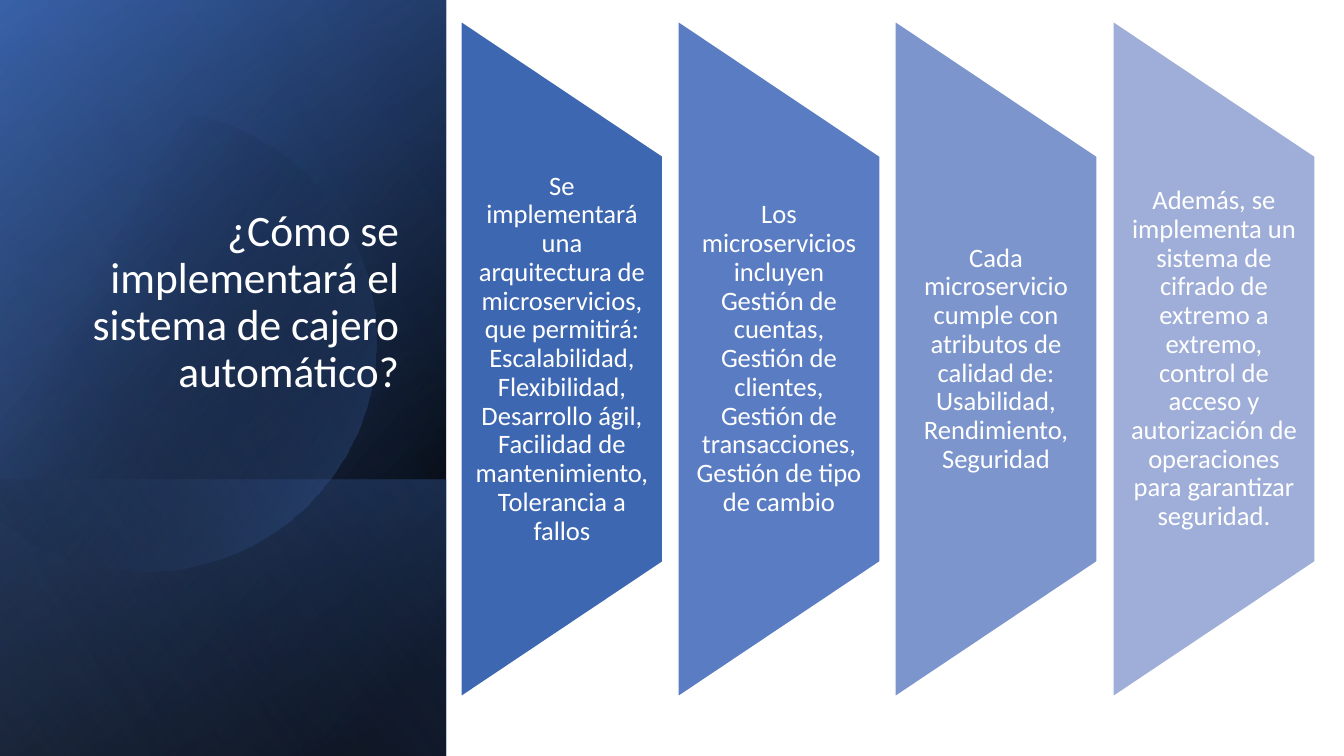
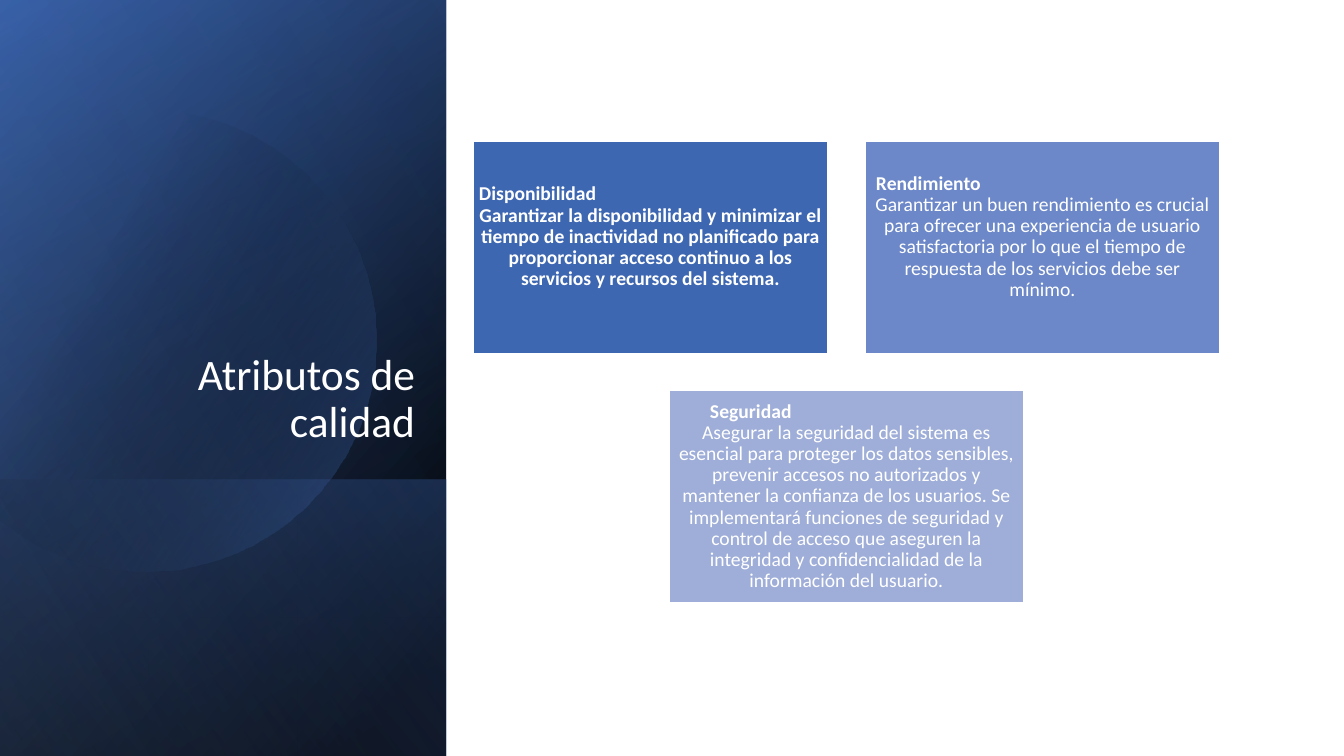
import math

from lxml import etree
from pptx import Presentation
from pptx.dml import color
from pptx.enum import shapes, text
from pptx.oxml import ns
from pptx.util import Pt

PX = 914400 / 100.8
FONT = "Calibri"
WHITE = "FFFFFF"
BLUE = "4472C4"
BLACK = "000000"
RECT = shapes.MSO_SHAPE.RECTANGLE
TRAP = shapes.MSO_SHAPE.FLOWCHART_MANUAL_OPERATION
LEFT, MID, RIGHT = text.PP_ALIGN.LEFT, text.PP_ALIGN.CENTER, text.PP_ALIGN.RIGHT

SIDE_W, HIGH, WIDE = 446, 756, 1344
BAND_Y = 480
DISC = 145, 341, 231  # centre x, centre y, radius

STEPS = [
    ("3E67B2", "Se implementará una arquitectura de microservicios, que permitirá: "
               "Escalabilidad, Flexibilidad, Desarrollo ágil, Facilidad de "
               "mantenimiento, Tolerancia a fallos"),
    ("5A7CC3", "Los microservicios incluyen Gestión de cuentas, Gestión de clientes, "
               "Gestión de transacciones, Gestión de tipo de cambio"),
    ("7D95CD", "Cada microservicio cumple con atributos de calidad de: Usabilidad, "
               "Rendimiento, Seguridad"),
    ("9FAED8", "Además, se implementa un sistema de cifrado de extremo a extremo, "
               "control de acceso y autorización de operaciones para garantizar "
               "seguridad."),
]

# x, y, fill, heading indent, bottom inset, heading, body, bold body
CARDS = [
    (473, 141, "3E67B2", 0, 27, "Disponibilidad",
     "Garantizar la disponibilidad y minimizar el tiempo de inactividad no "
     "planificado para proporcionar acceso continuo a los servicios y recursos "
     "del sistema.", True),
    (865, 141, "6C88C8", 5, 27, "Rendimiento",
     "Garantizar un buen rendimiento es crucial para ofrecer una experiencia de "
     "usuario satisfactoria por lo que el tiempo de respuesta de los servicios "
     "debe ser mínimo.", False),
    (669, 390, "9FAED8", 35, 6, "Seguridad",
     "Asegurar la seguridad del sistema es esencial para proteger los datos "
     "sensibles, prevenir accesos no autorizados y mantener la confianza de los "
     "usuarios. Se implementará funciones de seguridad y control de acceso que "
     "aseguren la integridad y confidencialidad de la información del usuario.",
     False),
]


def px(n):
    return round(n * PX)


def rgb(code):
    return color.RGBColor.from_string(code)


def shade(shape, ang, *stops):
    """Gradient along a clockwise angle; each stop is position, colour, opacity in %."""
    shape.shadow.inherit = False
    shape.line.fill.background()
    shape.fill.gradient()
    shape.fill.gradient_angle = 360 - ang
    for stop, (pos, code, _) in zip(shape.fill.gradient_stops, stops):
        stop.position = pos / 100
        stop.color.rgb = rgb(code)
    grad = shape.element.spPr.find(ns.qn("a:gradFill"))
    for node, (_, _, alpha) in zip(grad.iter(ns.qn("a:srgbClr")), stops):
        if alpha < 100:
            etree.SubElement(node, ns.qn("a:alpha")).set("val", str(alpha * 1000))


class Deck:
    def __init__(self):
        self.prs = Presentation()
        self.prs.slide_width, self.prs.slide_height = px(WIDE), px(HIGH)
        self.slide = None

    def page(self, title, x, y):
        self.slide = self.prs.slides.add_slide(self.prs.slide_layouts[5])
        self.panel()
        self.title(title, x, y)

    def title(self, words, x, y):
        head = self.slide.shapes.title
        head.left, head.top, head.width, head.height = map(px, (x, y, 344, 264))
        tree = self.slide.shapes.element
        tree.remove(head.element)
        tree.append(head.element)
        frame = head.text_frame
        frame.text = words
        frame.auto_size = text.MSO_AUTO_SIZE.NONE
        frame.vertical_anchor = text.MSO_ANCHOR.BOTTOM
        self.style(frame.paragraphs[0], 31, RIGHT)

    def style(self, para, size, align, bold=False):
        para.alignment = align
        para.line_spacing = 0.9
        para.space_before = para.space_after = Pt(0)
        for run in para.runs:
            run.font.name, run.font.size, run.font.bold = FONT, Pt(size), bold
            run.font.color.rgb = rgb(WHITE)

    def turned(self, kind, x, y, w, h, turn):
        """Shape that fills the given box after a quarter turn."""
        box = x + (w - h) / 2, y + (h - w) / 2, h, w
        shape = self.slide.shapes.add_shape(kind, *map(px, box))
        shape.rotation = turn
        return shape

    def layer(self, y, ang, *stops):
        shape = self.turned(RECT, 0, y, SIDE_W, HIGH - y, 90)
        shape.element.spPr.find(ns.qn("a:xfrm")).set("flipH", "1")
        shade(shape, ang, *stops)

    def disc(self):
        """Circle cut straight along the left edge of the slide."""
        cx, cy, r = DISC
        cut = math.acos(-cx / r)
        arc = [(cx + r * math.cos(cut * i / 60), cy + r * math.sin(cut * i / 60))
               for i in range(-60, 61)]
        path = self.slide.shapes.build_freeform(*arc[0], scale=PX)
        path.add_line_segments(arc[1:], close=True)
        shade(path.convert_to_shape(), 30, (29, BLACK, 0), (100, BLUE, 43))

    def panel(self):
        self.layer(0, 50, (8, BLACK, 100), (100, "2F5597", 100))
        self.layer(0, 30, (0, BLACK, 0), (99, BLUE, 46))
        self.layer(BAND_Y, 130, (2, BLUE, 29), (100, BLACK, 30))
        self.disc()
        self.layer(0, 120, (0, BLACK, 0), (99, "8FAADC", 11))

    def paint(self, shape, code):
        shape.shadow.inherit = False
        shape.fill.solid()
        shape.fill.fore_color.rgb = rgb(code)
        shape.line.color.rgb = rgb(WHITE)
        shape.line.width = Pt(1)

    def inset(self, frame, side, top, bottom):
        frame.word_wrap = True
        frame.vertical_anchor = text.MSO_ANCHOR.MIDDLE
        frame.margin_left = frame.margin_right = px(side)
        frame.margin_top, frame.margin_bottom = px(top), px(bottom)

    def step(self, x, code, words):
        self.paint(self.turned(TRAP, x, 21, 202, 676, 270), code)
        box = self.slide.shapes.add_textbox(*map(px, (x, 156, 202, 406)))
        self.inset(box.text_frame, 13, 0, 0)
        box.text_frame.text = words
        self.style(box.text_frame.paragraphs[0], 19, MID)

    def card(self, x, y, code, indent, bottom, head, body, bold):
        card = self.slide.shapes.add_shape(RECT, *map(px, (x, y, 355, 213)))
        self.paint(card, code)
        frame = card.text_frame
        self.inset(frame, 6, 6, bottom)
        frame.text = head + "\n" + body
        first, second = frame.paragraphs
        self.style(first, 14, LEFT, True)
        first._p.get_or_add_pPr().set("marL", str(px(indent)))
        self.style(second, 14, MID, bold)


def main():
    deck = Deck()
    deck.page("¿Cómo se implementará el sistema de cajero automático?", 65, 138)
    for i, (code, words) in enumerate(STEPS):
        deck.step(461 + i * 652 // 3, code, words)
    deck.page("Atributos de calidad", 81, 188)
    for card in CARDS:
        deck.card(*card)
    deck.prs.save("out.pptx")


if __name__ == "__main__":
    main()
